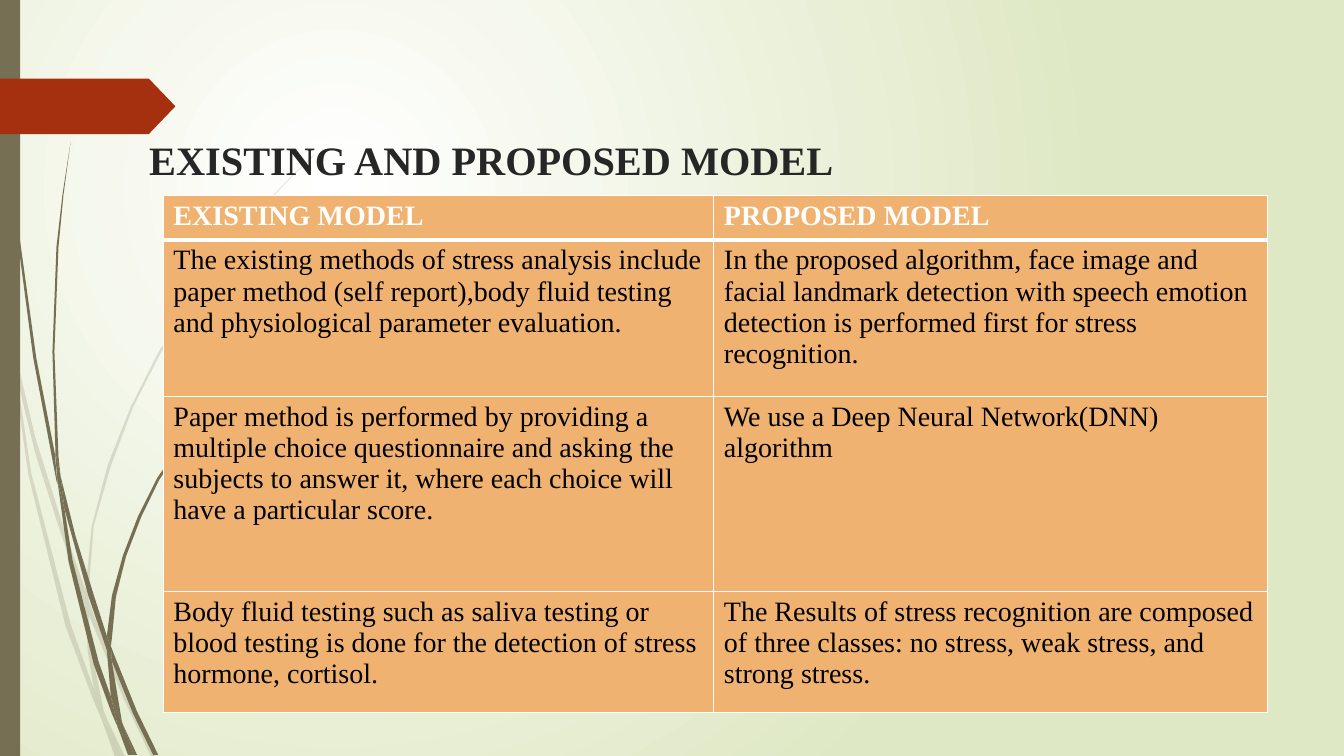
from lxml import etree
from pptx import Presentation
from pptx import util as u
from pptx.dml.color import RGBColor
from pptx.enum import shapes, text
from pptx.oxml import parse_xml
from pptx.oxml.ns import nsdecls, qn

PX = 9144
SLIDE = (1333, 750)
FONT = "Times New Roman"
OLIVE, RUST, PEACH, WHITE, BLACK = "766F54", "A53010", "F0B270", "FFFFFF", "000000"
BACKDROP = [(0, "FFFFFF"), (100, "DFE8C4")]

HEADING = {"words": "EXISTING AND PROPOSED MODEL", "at": (138, 81, 1070, 99)}
HEADING_FRAME = {"margin_top": 53 * PX, "margin_bottom": 0, "word_wrap": True,
                 "auto_size": text.MSO_AUTO_SIZE.NONE,
                 "vertical_anchor": text.MSO_ANCHOR.TOP}
BAR = (0, 0, 20, 750)
ARROW = (0, 78, 174, 55)

MODELS = [
    ("EXISTING MODEL", "PROPOSED MODEL"),
    ("The existing methods of stress analysis include paper method (self report),body fluid testing "
     "and physiological parameter evaluation.",
     "In the proposed algorithm, face image and facial landmark detection with speech emotion "
     "detection is performed first for stress recognition."),
    ("Paper method is performed by providing a multiple choice questionnaire and asking the subjects "
     "to answer it, where each choice will have a particular score.",
     "We use a Deep Neural Network(DNN) algorithm"),
    ("Body fluid testing such as saliva testing or blood testing is done for the detection of stress "
     "hormone, cortisol.",
     "The Results of stress recognition are composed of three classes: no stress, weak stress, and "
     "strong stress."),
]
MODELS_AT = (162, 194)
COLUMNS = [546, 549]
ROWS = [44, 155, 194, 120]

PALE_BLADES = [
    [(11, 350), (9, 322), (0, 282), (0, 299), (10, 344)],
    [(58, 522), (84, 599), (85, 586), (62, 520), (35, 434), (14, 345), (17, 376), (35, 450)],
    [(92, 607), (88, 596), (88, 610), (123, 694), (150, 751), (155, 751), (127, 692)],
    [(119, 751), (124, 751), (105, 711)],
    [(93, 683), (70, 619), (31, 469), (17, 376), (11, 350), (28, 470), (65, 621), (92, 693),
     (101, 714), (99, 707)],
    [(84, 599), (87, 646), (93, 683), (96, 692), (105, 711), (103, 706), (91, 646), (88, 610), (88, 608)],
    [(88, 584), (93, 522), (110, 462), (132, 404), (160, 349), (229, 245), (268, 198), (290, 175),
     (312, 154), (312, 153), (289, 175), (268, 197), (228, 244), (158, 348), (130, 403), (107, 461),
     (91, 522), (85, 584), (85, 586), (88, 596)],
    [(101, 714), (114, 751), (119, 751)],
    [(88, 608), (88, 610), (88, 596), (85, 586), (84, 599)],
    [(96, 692), (93, 683), (99, 707), (101, 714), (119, 751), (105, 711)],
]
SOLID_BLADES = [
    [(7, 110), (17, 233), (33, 355), (56, 477), (57, 481), (55, 457), (55, 453), (36, 355), (19, 232),
     (8, 109), (5, 48), (4, 0), (3, 0), (4, 48)],
    [(88, 592), (106, 645), (106, 633), (106, 631), (93, 590), (75, 532), (60, 472), (64, 505)],
    [(113, 649), (110, 641), (111, 656), (132, 708), (152, 749), (157, 749), (136, 706)],
    [(110, 691), (98, 657), (72, 556), (64, 505), (57, 477), (68, 557), (93, 659), (111, 708),
     (117, 722), (116, 717)],
    [(60, 472), (58, 453), (54, 349), (58, 245), (63, 193), (70, 141), (62, 193), (56, 245), (52, 349),
     (55, 449)],
    [(133, 749), (136, 749), (122, 719)],
    [(57, 477), (64, 505), (60, 472), (55, 449), (55, 453)],
    [(111, 633), (115, 592), (125, 552), (140, 513), (158, 476), (205, 406), (231, 374), (245, 359),
     (261, 344), (260, 344), (245, 358), (231, 373), (204, 405), (156, 474), (137, 512), (122, 551),
     (111, 591), (106, 631), (110, 641)],
    [(117, 722), (127, 749), (131, 749)],
    [(106, 645), (110, 691), (116, 706), (122, 719), (121, 716), (111, 656), (109, 651)],
    [(106, 645), (109, 651), (111, 656), (110, 641), (106, 631), (106, 633)],
    [(116, 706), (110, 691), (116, 717), (117, 722), (130, 749), (133, 749), (122, 719)],
]


def rgb(hex_code):
    return RGBColor.from_string(hex_code)


def assign(target, values):
    for name, value in values.items():
        setattr(target, name, value)


def write(frame, words, size, color, bold):
    frame.text = words
    line = frame.paragraphs[0]
    line.alignment = text.PP_ALIGN.LEFT
    assign(line.runs[0].font, {"name": FONT, "size": u.Pt(size), "bold": bold})
    line.runs[0].font.color.rgb = rgb(color)


def paint(shape, color, opacity=100):
    shape.shadow.inherit = False
    shape.fill.solid()
    shape.fill.fore_color.rgb = rgb(color)
    shape.line.fill.background()
    if opacity < 100:
        tint = shape.element.spPr.find(".//" + qn("a:srgbClr"))
        etree.SubElement(tint, qn("a:alpha"), val=str(opacity * 1000))


def fill_backdrop(slide):
    slide.background.fill.gradient()
    gradient = slide.element.find(".//" + qn("a:gradFill"))
    stops = "".join(f'<a:gs pos="{at * 1000}"><a:srgbClr val="{color}"/></a:gs>' for at, color in BACKDROP)
    gradient.getparent().replace(gradient, parse_xml(
        f'<a:gradFill {nsdecls("a")} rotWithShape="1"><a:gsLst>{stops}</a:gsLst><a:path path="circle">'
        '<a:fillToRect l="50000" t="50000" r="100000" b="100000"/></a:path></a:gradFill>'))


def border(cell, bottom):
    for place, (side, width) in enumerate(zip("LRTB", (1, 1, 1, bottom))):
        cell._tc.get_or_add_tcPr().insert(place, parse_xml(
            f'<a:ln{side} {nsdecls("a")} w="{u.Pt(width)}"><a:solidFill><a:srgbClr val="{WHITE}"/>'
            f'</a:solidFill></a:ln{side}>'))


def add_models(slide):
    box = [PX * v for v in (*MODELS_AT, sum(COLUMNS), sum(ROWS))]
    models = slide.shapes.add_table(len(ROWS), len(COLUMNS), *box).table
    for column, width in zip(models.columns, COLUMNS):
        column.width = width * PX
    for r, (height, entries) in enumerate(zip(ROWS, MODELS)):
        models.rows[r].height = height * PX
        header = r == 0
        for c, words in enumerate(entries):
            cell = models.cell(r, c)
            write(cell.text_frame, words, 20, WHITE if header else BLACK, header)
            cell.fill.solid()
            cell.fill.fore_color.rgb = rgb(PEACH)
            border(cell, 3 if header else 1)


def main():
    deck = Presentation()
    deck.slide_width, deck.slide_height = (PX * v for v in SLIDE)
    slide = deck.slides.add_slide(deck.slide_layouts[5])
    fill_backdrop(slide)

    for blades, opacity in ((PALE_BLADES, 20), (SOLID_BLADES, 100)):
        for outline in blades:
            builder = slide.shapes.build_freeform(*outline[0], scale=PX)
            builder.add_line_segments(outline[1:], close=True)
            paint(builder.convert_to_shape(), OLIVE, opacity)

    bar = slide.shapes.add_shape(shapes.MSO_SHAPE.RECTANGLE, *(PX * v for v in BAR))
    paint(bar, OLIVE)
    arrow = slide.shapes.add_shape(shapes.MSO_SHAPE.PENTAGON, *(PX * v for v in ARROW))
    arrow.adjustments[0] = 0.48
    paint(arrow, RUST)

    heading = slide.shapes.title
    assign(heading, dict(zip(("left", "top", "width", "height"), (PX * v for v in HEADING["at"]))))
    write(heading.text_frame, HEADING["words"], 28.8, "262626", True)
    assign(heading.text_frame, HEADING_FRAME)
    arrow.element.addnext(heading.element)

    add_models(slide)
    deck.save("out.pptx")


if __name__ == "__main__":
    main()
